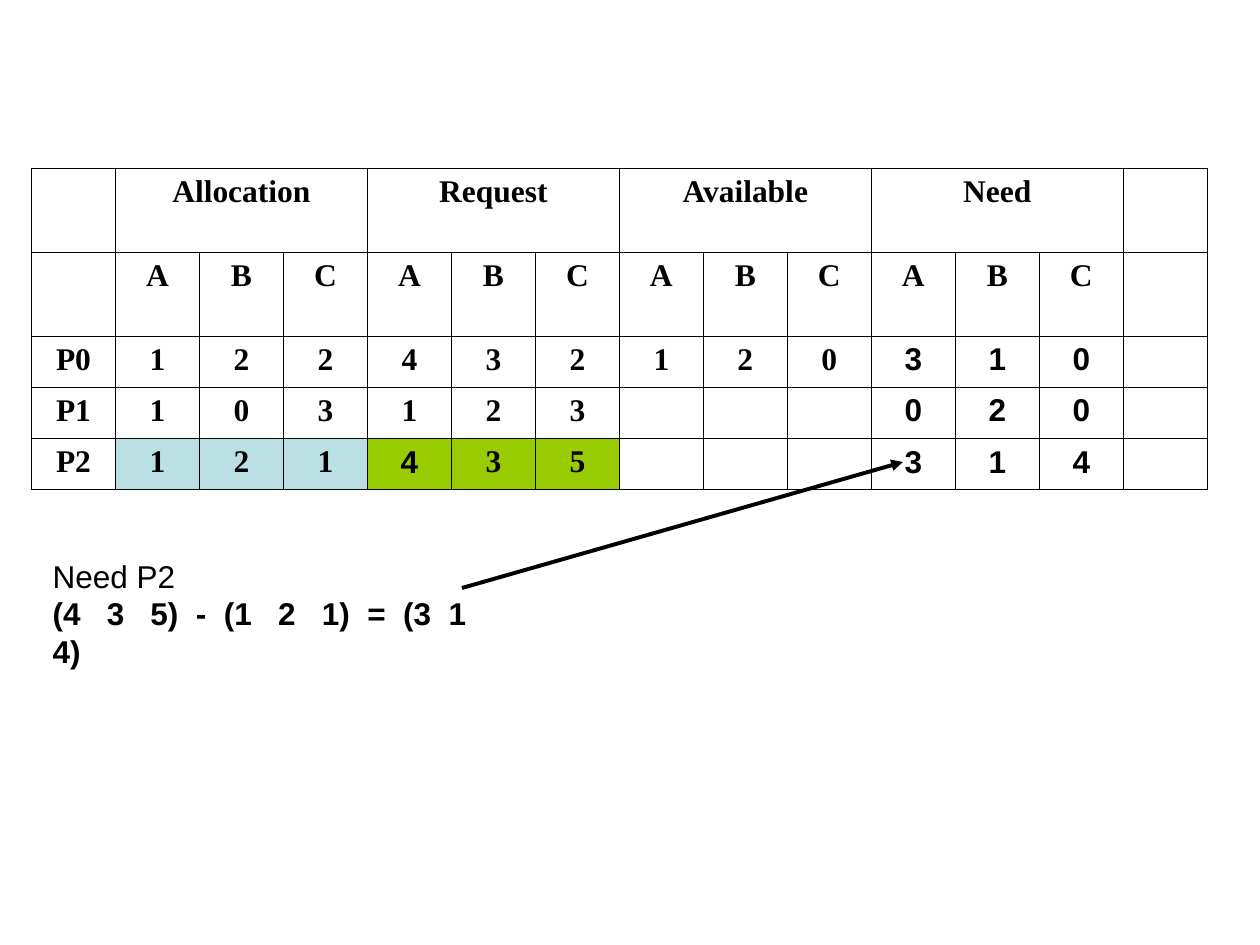
"""Build the resource allocation slide with the need calculation for P2."""
from pptx import Presentation
from pptx.dml.color import RGBColor
from pptx.enum import shapes, text
from pptx.oxml import parse_xml
from pptx.oxml.ns import nsdecls
from pptx.util import Pt

GROUPS = ["Allocation", "Request", "Available", "Need"]
RESOURCES = ["A", "B", "C"]
PROCESSES = [
    ("P0", ["122", "432", "120", "310"]),
    ("P1", ["103", "123", "", "020"]),
    ("P2", ["121", "435", "", "314"]),
]
NOTE = [("Need P2", False), ("(4   3   5)  -  (1   2   1)  =  (3  1  4)", True)]

THEME = {
    "ink": "000000", "allocation": "BBE0E3", "request": "99CC00",
    "serif": "Times New Roman", "sans": "Arial",
    "size": 18, "border": 0.45, "arrow": 2.25,
}

TABLE_LEFT, TABLE_TOP = 18, 96
COLUMN_WIDTH = 48
ROW_HEIGHTS = [48, 48] + [28.8] * len(PROCESSES)
SPAN = len(RESOURCES)
COLUMN_COUNT = SPAN * len(GROUPS) + 2
NEED_COLUMN = 1 + SPAN * GROUPS.index("Need")
REQUEST_COLUMN = 1 + SPAN * GROUPS.index("Request")
LAST_ROW = len(ROW_HEIGHTS) - 1
FILLS = {(LAST_ROW, 1 + offset): THEME["allocation"] for offset in range(SPAN)}
FILLS |= {(LAST_ROW, REQUEST_COLUMN + offset): THEME["request"] for offset in range(SPAN)}


def set_values(target, values):
    for name, value in values.items():
        setattr(target, name, value)


def write(paragraph, words, font_name, bold):
    run = paragraph.add_run()
    run.text = words
    set_values(run.font, {"name": font_name, "size": Pt(THEME["size"]), "bold": bold})
    run.font.color.rgb = RGBColor.from_string(THEME["ink"])


def add_borders(cell):
    properties = cell._tc.get_or_add_tcPr()
    for side in ("lnL", "lnR", "lnT", "lnB"):
        properties.append(parse_xml(
            f'<a:{side} {nsdecls("a")} w="{Pt(THEME["border"])}"><a:solidFill>'
            f'<a:srgbClr val="{THEME["ink"]}"/></a:solidFill></a:{side}>'))


def table_rows():
    header = [""]
    for group in GROUPS:
        header += [group] + [""] * (SPAN - 1)
    rows = [header + [""], [""] + RESOURCES * len(GROUPS) + [""]]
    for process, groups in PROCESSES:
        rows.append([process] + list("".join(group.ljust(SPAN) for group in groups)) + [""])
    return rows


def cell_font(row, column):
    in_need = row > 1 and column >= NEED_COLUMN
    changed_request = (row, column) == (LAST_ROW, REQUEST_COLUMN)
    return THEME["sans"] if in_need or changed_request else THEME["serif"]


def add_allocation_table(slide):
    table = slide.shapes.add_table(
        len(ROW_HEIGHTS), COLUMN_COUNT, Pt(TABLE_LEFT), Pt(TABLE_TOP),
        Pt(COLUMN_WIDTH * COLUMN_COUNT), Pt(sum(ROW_HEIGHTS))).table
    set_values(table, {"first_row": False, "horz_banding": False})
    for column in table.columns:
        column.width = Pt(COLUMN_WIDTH)
    for row, height in zip(table.rows, ROW_HEIGHTS):
        row.height = Pt(height)
    for start in range(1, COLUMN_COUNT - 1, SPAN):
        table.cell(0, start).merge(table.cell(0, start + SPAN - 1))
    for row, values in enumerate(table_rows()):
        for column, value in enumerate(values):
            cell = table.cell(row, column)
            add_borders(cell)
            if (row, column) in FILLS:
                cell.fill.solid()
                cell.fill.fore_color.rgb = RGBColor.from_string(FILLS[row, column])
            else:
                cell.fill.background()
            if value.strip():
                paragraph = cell.text_frame.paragraphs[0]
                paragraph.alignment = text.PP_ALIGN.CENTER
                write(paragraph, value, cell_font(row, column), True)


def add_note(slide):
    frame = slide.shapes.add_textbox(Pt(23), Pt(314.6), Pt(276.5), Pt(50.4)).text_frame
    set_values(frame, {"word_wrap": False, "auto_size": text.MSO_AUTO_SIZE.SHAPE_TO_FIT_TEXT})
    for index, (words, bold) in enumerate(NOTE):
        paragraph = frame.add_paragraph() if index else frame.paragraphs[0]
        write(paragraph, words, THEME["sans"], bold)


def add_arrow(slide):
    arrow = slide.shapes.add_connector(
        shapes.MSO_CONNECTOR.STRAIGHT, Pt(264), Pt(336), Pt(516), Pt(264))
    arrow.line.width = Pt(THEME["arrow"])
    arrow.line.color.rgb = RGBColor.from_string(THEME["ink"])
    arrow.line._get_or_add_ln().append(
        parse_xml(f'<a:tailEnd {nsdecls("a")} type="triangle"/>'))
    arrow._element.spPr.append(parse_xml(f'<a:effectLst {nsdecls("a")}/>'))


def main():
    presentation = Presentation()
    set_values(presentation, {"slide_width": Pt(720), "slide_height": Pt(540)})
    slide = presentation.slides.add_slide(presentation.slide_layouts.get_by_name("Blank"))
    add_allocation_table(slide)
    add_note(slide)
    add_arrow(slide)
    presentation.save("out.pptx")


if __name__ == "__main__":
    main()
